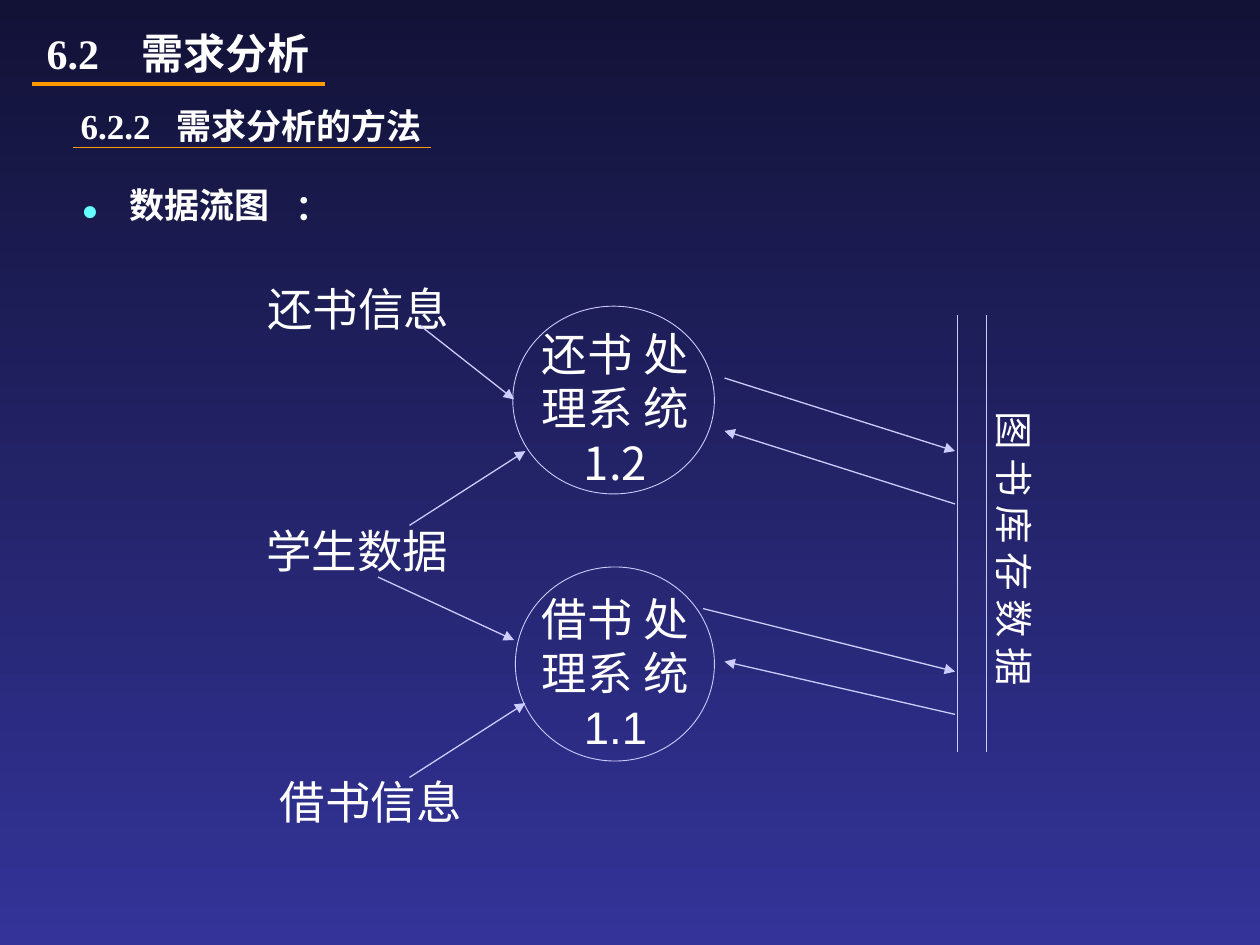
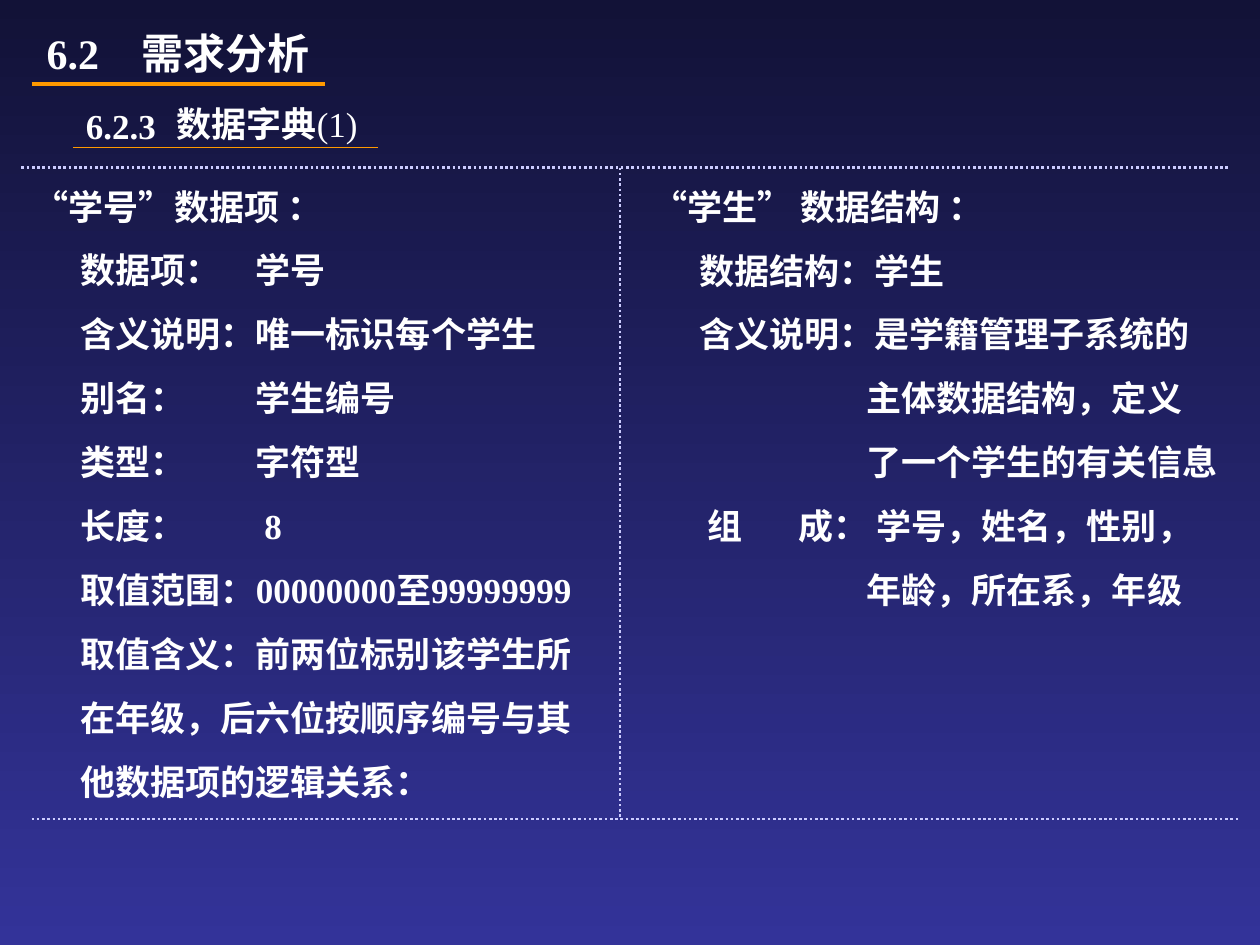
from lxml import etree
from pptx import Presentation
from pptx.dml.color import RGBColor
from pptx.enum.dml import MSO_LINE
from pptx.enum.shapes import MSO_CONNECTOR, MSO_SHAPE
from pptx.enum.text import MSO_ANCHOR, MSO_AUTO_SIZE, PP_ALIGN
from pptx.oxml.ns import qn
from pptx.util import Inches, Pt

WHITE = RGBColor(0xFF, 0xFF, 0xFF)
ORANGE = RGBColor(0xFF, 0x99, 0x00)
LAVENDER = RGBColor(0xCC, 0xCC, 0xFF)
CYAN = RGBColor(0x66, 0xFF, 0xFF)
NIGHT = RGBColor(0x12, 0x12, 0x37)
INDIGO = RGBColor(0x33, 0x33, 0x99)
SERIF = "Times New Roman"
SANS = "Noto Sans CJK SC"
LEFT, CENTER = PP_ALIGN.LEFT, PP_ALIGN.CENTER
TOP, MIDDLE = MSO_ANCHOR.TOP, MSO_ANCHOR.MIDDLE
STRAIGHT = MSO_CONNECTOR.STRAIGHT
OVAL = MSO_SHAPE.OVAL
DOTTED = MSO_LINE.ROUND_DOT
NO_AUTOFIT = MSO_AUTO_SIZE.NONE


def write_text(shape, rows, size, font_name=SERIF, bold=True, color=WHITE,
               align=LEFT, anchor=TOP, margins=(0.1, 0.05), wrap=True):
    frame = shape.text_frame
    frame.auto_size = NO_AUTOFIT
    frame.word_wrap = wrap
    frame.vertical_anchor = anchor
    frame.margin_left = frame.margin_right = Inches(margins[0])
    frame.margin_top = frame.margin_bottom = Inches(margins[1])
    frame.text = "\n".join(text for text, *stops in rows)
    for index, (paragraph, (text, *stops)) in enumerate(zip(frame.paragraphs, rows)):
        paragraph.alignment = align
        if index:
            paragraph.space_before = Pt(12.5)
        if stops:
            tabs = etree.SubElement(paragraph._p.get_or_add_pPr(), qn("a:tabLst"))
            for stop in stops:
                etree.SubElement(tabs, qn("a:tab"), pos=str(Inches(stop)), algn="l")
        for run in paragraph.runs:
            run.font.size = Pt(size)
            run.font.bold = bold
            run.font.color.rgb = color
            run.font.name = font_name
            etree.SubElement(run._r.get_or_add_rPr(), qn("a:ea"), typeface=SANS)


def add_line(slide, start, end, color, width, arrow=False):
    line = slide.shapes.add_connector(STRAIGHT, *map(Inches, start + end))
    line.line.color.rgb = color
    line.line.width = Pt(width)
    if arrow:
        etree.SubElement(line.line._get_or_add_ln(), qn("a:tailEnd"), type="triangle")
    etree.SubElement(line._element.spPr, qn("a:effectLst"))
    return line


presentation = Presentation()
presentation.slide_width = Inches(10)
presentation.slide_height = Inches(7.5)
background = presentation.slide_master.background.fill
background.gradient()
background.gradient_angle = 270
for gradient_stop, position, color in zip(background.gradient_stops, (0, 1), (NIGHT, INDIGO)):
    gradient_stop.position = position
    gradient_stop.color.rgb = color

slides = []
for title_text, title_box, underline_end in (
    ("数据流图", (0.67, 1.33, 1.83, 0.58), 3.42),
    ("数据字典(1)", (1.08, 0.69, 2.08, 0.58), 3),
):
    slide = presentation.slides.add_slide(presentation.slide_layouts[5])
    title = slide.shapes.title
    title.left, title.top, title.width, title.height = map(Inches, title_box)
    write_text(title, [(title_text,)], 20, align=CENTER, anchor=MIDDLE)
    chapter = slide.shapes.add_textbox(*map(Inches, (0.17, 0.17, 2.5, 0.5)))
    write_text(chapter, [("6.2\t需求分析", 0.75)], 24, anchor=MIDDLE, margins=(0.2, 0.05))
    add_line(slide, (0.25, 0.67), (2.58, 0.67), ORANGE, 2.25)
    add_line(slide, (0.58, 1.17), (underline_end, 1.17), ORANGE, 1)
    slides.append(slide)

flow_slide, dictionary_slide = slides

section = flow_slide.shapes.add_textbox(*map(Inches, (0.33, 0.83, 3.33, 0.33)))
write_text(section, [("6.2.2\t需求分析的方法", 0.76)], 20, anchor=MIDDLE, margins=(0.31, 0.05))
for text, box, size, color in (
    ("：", (2.25, 1.42, 0.48, 0.44), 20, WHITE),
    ("●", (0.55, 1.48, 0.33, 0.37), 16, CYAN),
):
    mark = flow_slide.shapes.add_textbox(*map(Inches, box))
    write_text(mark, [(text,)], size, color=color, wrap=False)

labels = [
    ("还书信息", 2.12, 2.23, 1.45, SANS),
    ("学生数据", 2.11, 4.15, 1.45, SANS),
    ("借书信息", 2.22, 6.14, 1.45, SANS),
]
for box, lines, first_top, font_name in (
    ((4.07, 2.43, 1.6, 1.49), ("还书 处", "理系 统", "1.2"), 2.59, SANS),
    ((4.09, 4.5, 1.58, 1.54), ("借书 处", "理系 统", "1.1"), 4.69, "Arial"),
):
    process = flow_slide.shapes.add_shape(OVAL, *map(Inches, box))
    process.shadow.inherit = False
    process.fill.background()
    process.line.color.rgb = LAVENDER
    process.line.width = Pt(0.5)
    for row, text in enumerate(lines):
        labels.append((text, 4.3, first_top + 0.43 * row, 1.17, font_name))

for text, left, top, width, font_name in labels:
    label = flow_slide.shapes.add_textbox(*map(Inches, (left, top, width, 0.43)))
    write_text(label, [(text,)], 26, font_name, bold=False, align=CENTER,
               margins=(0, 0), wrap=False)

for x in (7.6, 7.83):
    add_line(flow_slide, (x, 2.5), (x, 5.97), LAVENDER, 0.5)
store = flow_slide.shapes.add_textbox(*map(Inches, (6.97, 4.17, 2.17, 0.37)))
store.rotation = 90
write_text(store, [("图 书 库 存 数 据",)], 22, SANS, bold=False, align=CENTER,
           margins=(0, 0), wrap=False)

for start, end in (
    ((3.25, 6.17), (4.17, 5.58)),
    ((3, 4.58), (4.08, 5.08)),
    ((3.33, 2.58), (4.08, 3.17)),
    ((3.25, 4.17), (4.17, 3.58)),
    ((5.75, 3), (7.58, 3.58)),
    ((7.58, 4), (5.75, 3.42)),
    ((5.58, 4.83), (7.58, 5.33)),
    ((7.58, 5.67), (5.75, 5.25)),
):
    add_line(flow_slide, start, end, LAVENDER, 0.75, arrow=True)

title_paragraph = dictionary_slide.shapes.title.text_frame.paragraphs[0]
title_run = title_paragraph.runs[0]
title_run.text = "数据字典"
number_run = title_paragraph.add_run()
number_run.text = "(1)"
number_run.font.size = Pt(20)
number_run.font.bold = False
number_run.font.color.rgb = WHITE
number_run.font.name = SERIF
section = dictionary_slide.shapes.add_textbox(*map(Inches, (0.5, 0.83, 0.92, 0.33)))
write_text(section, [("6.2.3",)], 20, align=CENTER, anchor=MIDDLE)

INDENT, VALUE, CONTINUED = 0.37, 1.76, 1.7
data_item = [
    ("“学号”数据项 ：",),
    ("\t数据项：\t学号", INDENT, VALUE),
    ("\t含义说明：唯一标识每个学生", INDENT),
    ("\t别名：\t学生编号", INDENT, VALUE),
    ("\t类型：\t字符型", INDENT, VALUE),
    ("\t长度：\t8", INDENT, VALUE + 0.07),
    ("\t取值范围：00000000至99999999", INDENT),
    ("\t取值含义：前两位标别该学生所", INDENT),
    ("\t在年级，后六位按顺序编号与其", INDENT),
    ("\t他数据项的逻辑关系：", INDENT),
]
data_structure = [
    ("“学生” 数据结构 ：",),
    ("\t数据结构：学生", INDENT),
    ("\t含义说明：是学籍管理子系统的", INDENT),
    ("\t主体数据结构，定义", CONTINUED),
    ("\t了一个学生的有关信息", CONTINUED),
    ("\t组\t成： 学号，姓名，性别，", INDENT + 0.07, 1.16),
    ("\t年龄，所在系，年级", CONTINUED),
]
for rows, box in (
    (data_item, (0.17, 1.42, 4.92, 5)),
    (data_structure, (5.08, 1.42, 5.33, 3.48)),
):
    entry = dictionary_slide.shapes.add_textbox(*map(Inches, box))
    write_text(entry, rows, 20)

for start, end in (
    ((4.92, 1.33), (4.92, 6.5)),
    ((0.17, 1.33), (9.75, 1.33)),
    ((0.25, 6.5), (9.83, 6.5)),
):
    add_line(dictionary_slide, start, end, LAVENDER, 1.5).line.dash_style = DOTTED

presentation.save("out.pptx")
